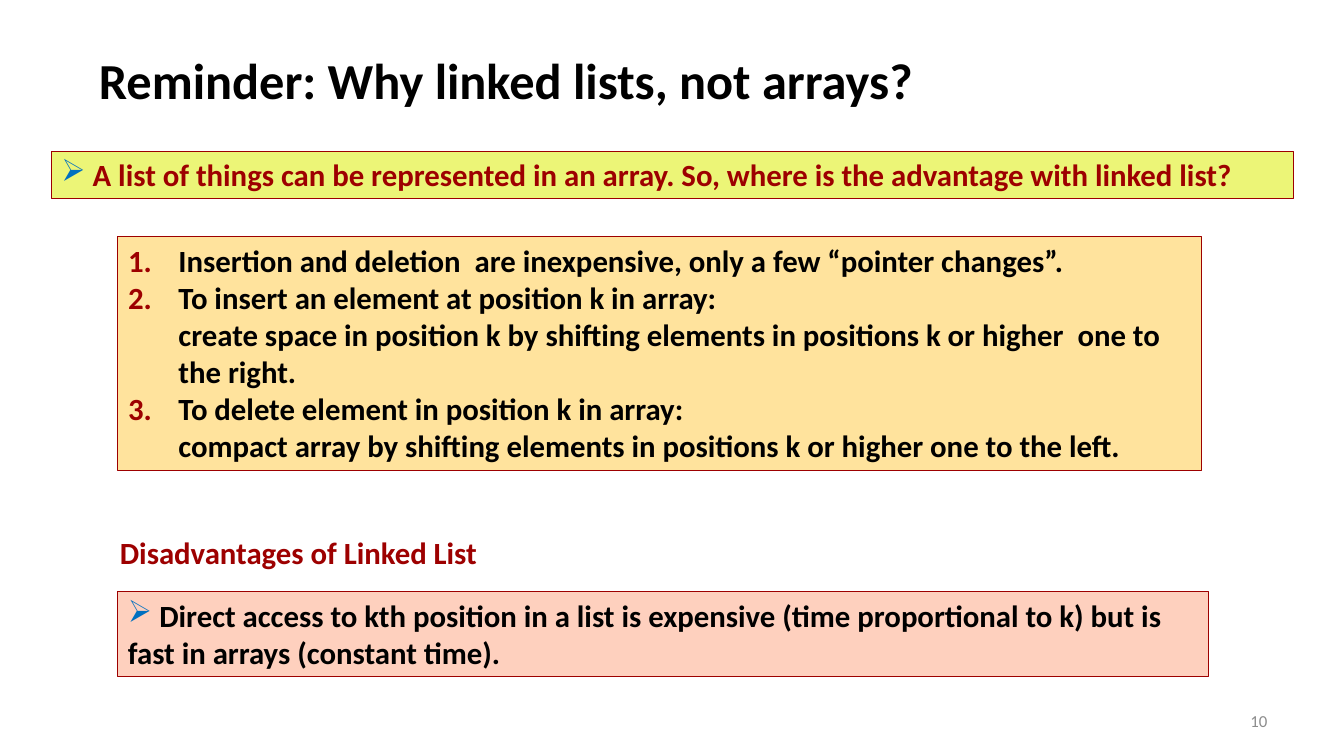
from lxml.etree import SubElement
from pptx import Presentation
from pptx.dml.color import RGBColor
from pptx.enum.shapes import MSO_SHAPE
from pptx.enum.text import MSO_ANCHOR, MSO_AUTO_SIZE, PP_ALIGN
from pptx.oxml.ns import qn
from pptx.util import Inches, Pt

FONT = "Calibri"
BLACK, RED, BLUE, GRAY = "000000", "9D0000", "0070C0", "8C8C8C"
YELLOW, ORANGE, PINK = "ECF577", "FFE39D", "FED0BE"

# Text and bullet level: level 0 is numbered, level 1 continues the item
ADVANTAGES = [
    ("Insertion and deletion  are inexpensive, only a few “pointer changes”.", 0),
    ("To insert an element at position k in array:", 0),
    ("create space in position k by shifting elements in positions k or higher  one to the right.", 1),
    ("To delete element in position k in array:", 0),
    ("compact array by shifting elements in positions k or higher one to the left.", 1),
]


def color(hex_string):
    return RGBColor.from_string(hex_string)


def place(shape, left, top, width, height):
    shape.left, shape.top = Inches(left), Inches(top)
    shape.width, shape.height = Inches(width), Inches(height)


def style_box(shape, fill):
    shape.fill.solid()
    shape.fill.fore_color.rgb = color(fill)
    shape.line.color.rgb = color(RED)
    shape.line.width = Pt(0.75)


def set_frame(shape, anchor=MSO_ANCHOR.TOP, wrap=True):
    frame = shape.text_frame
    frame.auto_size = MSO_AUTO_SIZE.NONE
    frame.word_wrap = wrap
    frame.vertical_anchor = anchor
    return frame


def write(paragraph, text, size=22, text_color=BLACK, bold=True, align=PP_ALIGN.LEFT):
    paragraph.text = text
    paragraph.alignment = align
    paragraph.space_before = Pt(0)
    for run in paragraph.runs:
        run.font.name = FONT
        run.font.size = Pt(size)
        run.font.bold = bold
        run.font.color.rgb = color(text_color)


def add_bullet(paragraph, tag, bullet_color=None, margin=0, indent=0, **attributes):
    properties = paragraph._p.get_or_add_pPr()
    properties.set("marL", str(Inches(margin)))
    properties.set("indent", str(Inches(indent)))
    if bullet_color:
        holder = SubElement(properties, qn("a:buClr"))
        SubElement(holder, qn("a:srgbClr"), val=bullet_color)
    SubElement(properties, qn(tag), **attributes)


def add_callout(slide, position, fill, text, text_color):
    shape = slide.shapes.add_shape(MSO_SHAPE.RECTANGLE, *map(Inches, position))
    shape.shadow.inherit = False
    style_box(shape, fill)
    paragraph = set_frame(shape).paragraphs[0]
    write(paragraph, text, text_color=text_color)
    add_bullet(paragraph, "a:buChar", BLUE, char="➢")


def add_label(slide, position, text, anchor=MSO_ANCHOR.TOP, wrap=True, **style):
    shape = slide.shapes.add_textbox(*map(Inches, position))
    write(set_frame(shape, anchor, wrap).paragraphs[0], text, **style)


def fill_title(title, text):
    place(title, 0.88, 0.31, 9, 0.95)
    write(set_frame(title, MSO_ANCHOR.MIDDLE).paragraphs[0], text, size=36)


def fill_advantages(body):
    place(body, 1.17, 2.35, 10.75, 2.32)
    style_box(body, ORANGE)
    frame = set_frame(body)
    for index, (text, level) in enumerate(ADVANTAGES):
        paragraph = frame.add_paragraph() if index else frame.paragraphs[0]
        write(paragraph, text)
        paragraph.level = level
        if level:
            add_bullet(paragraph, "a:buNone", margin=0.5)
        else:
            add_bullet(paragraph, "a:buAutoNum", RED, 0.5, -0.5, type="arabicPeriod")


def main():
    presentation = Presentation()
    presentation.slide_width, presentation.slide_height = Inches(13.33), Inches(7.5)
    slide = presentation.slides.add_slide(presentation.slide_layouts[1])

    # Title and numbered advantages
    fill_title(slide.shapes.title, "Reminder: Why linked lists, not arrays?")
    fill_advantages(slide.placeholders[1])

    # Opening question
    add_callout(slide, (0.51, 1.5, 12.32, 0.47), YELLOW,
                " A list of things can be represented in an array. "
                "So, where is the advantage with linked list?", RED)

    # Disadvantages
    add_label(slide, (1.09, 5.25, 3.78, 0.47), "Disadvantages of Linked List",
              wrap=False, text_color=RED)
    add_callout(slide, (1.17, 5.87, 10.82, 0.84), PINK,
                " Direct access to kth position in a list is expensive "
                "(time proportional to k) but is fast in arrays (constant time).", BLACK)

    # Page number
    add_label(slide, (9.56, 6.95, 3.11, 0.4), "10", MSO_ANCHOR.MIDDLE,
              size=12, text_color=GRAY, bold=False, align=PP_ALIGN.RIGHT)

    presentation.save("out.pptx")


if __name__ == "__main__":
    main()
